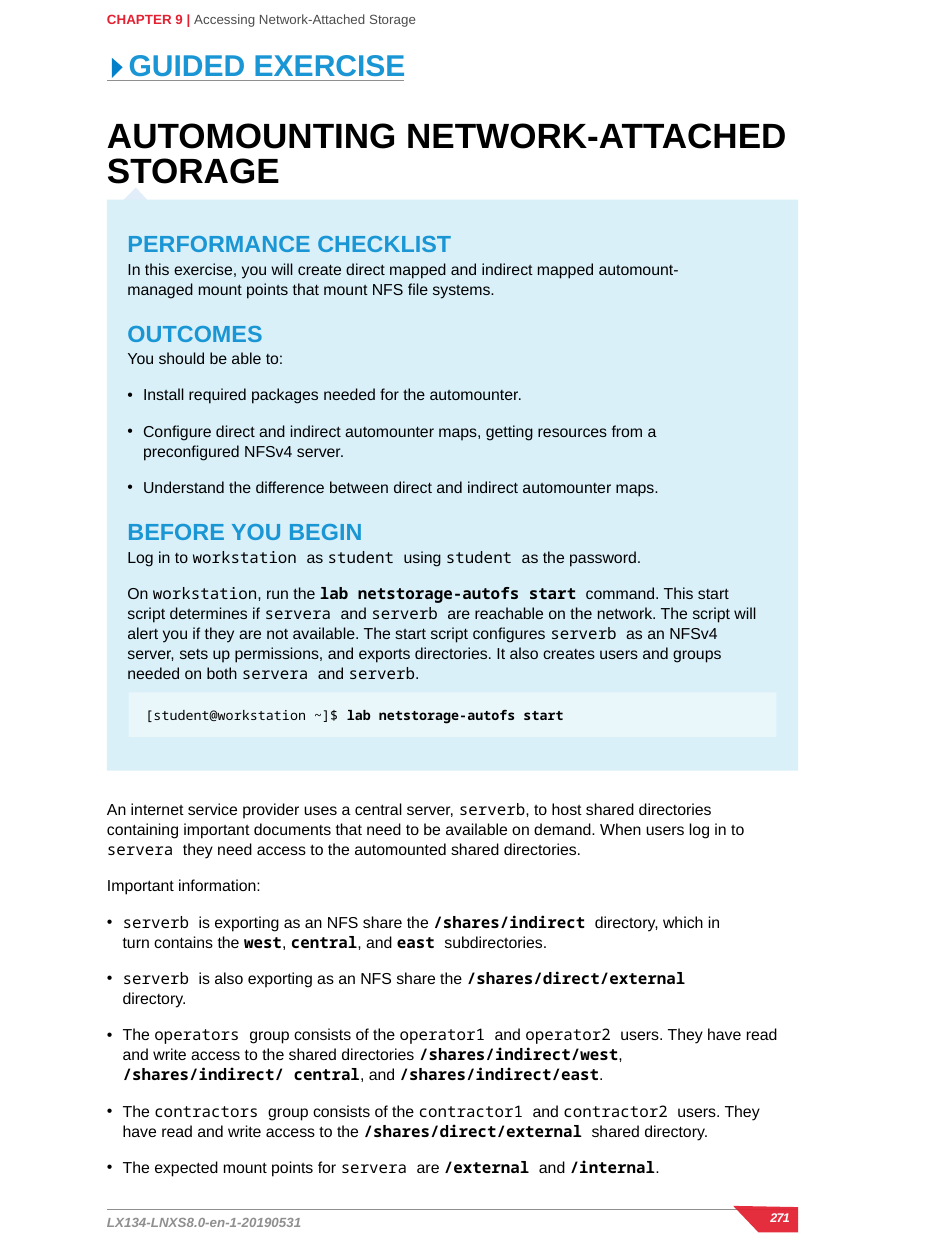
from dataclasses import dataclass

from lxml import etree
from pptx import Presentation, util as u
from pptx.dml.color import RGBColor
from pptx.enum import shapes, text
from pptx.oxml import ns


@dataclass(frozen=True)
class Theme:
    sans: str = "Arial"
    mono: str = "Noto Sans Mono"
    black: str = "000000"
    white: str = "FFFFFF"
    red: str = "E32132"
    blue: str = "1A96D5"
    marker: str = "0081CA"
    slate: str = "4B4C4C"
    gray: str = "8F8F8F"
    panel: str = "D9F0F9"
    notch: str = "E1EEF9"
    console: str = "E9F6FA"
    small: float = 8
    number: float = 7.5
    body: float = 9.5
    heading: float = 14
    banner: float = 18
    title: float = 21
    body_pitch: float = 12
    heading_pitch: float = 16
    para_gap: float = 9.8
    heading_gap: float = 13


THEME = Theme()
LEFT, RIGHT = 0.89, 6.64
BULLET_INDENT = 0.13

# Text markup: `code` is monospaced, `*code` is bold monospaced.
# Each entry: kind, text, right margin in inches.
EXERCISE = [
    ("heading", "PERFORMANCE CHECKLIST", 0),
    ("lead", "In this exercise, you will create direct mapped and indirect mapped "
     "automount-managed mount points that mount NFS file systems.", 0.69),
    ("heading", "OUTCOMES", 0),
    ("lead", "You should be able to:", 0),
    ("bullet", "Install required packages needed for the automounter.", 0),
    ("bullet", "Configure direct and indirect automounter maps, getting resources "
     "from a preconfigured NFSv4 server.", 0.69),
    ("bullet", "Understand the difference between direct and indirect automounter maps.", 0),
    ("heading", "BEFORE YOU BEGIN", 0),
    ("lead", "Log in to `workstation `as `student `using `student `as the password.", 0),
    ("body", "On `workstation`, run the `*lab netstorage-autofs start `command. This start "
     "script determines if `servera `and `serverb `are reachable on the network. The script "
     "will alert you if they are not available. The start script configures `serverb `as an "
     "NFSv4 server, sets up permissions, and exports directories. It also creates users and "
     "groups needed on both `servera `and `serverb`.", 0.31),
]
INFORMATION = [
    ("body", "An internet service provider uses a central server, `serverb`, to host shared "
     "directories containing important documents that need to be available on demand. When "
     "users log in to `servera `they need access to the automounted shared directories.", 0),
    ("body", "Important information:", 0),
    ("bullet", "`serverb `is exporting as an NFS share the `*/shares/indirect `directory, "
     "which in turn contains the `*west`, `*central`, and `*east `subdirectories.", 0.39),
    ("bullet", "`serverb `is also exporting as an NFS share the `*/shares/direct/external "
     "`directory.", 0.39),
    ("bullet", "The `operators `group consists of the `operator1 `and `operator2 `users. They "
     "have read and write access to the shared directories `*/shares/indirect/west`, "
     "`*/shares/indirect/ central`, and `*/shares/indirect/east`.", 0),
    ("bullet", "The `contractors `group consists of the `contractor1 `and `contractor2 `users. "
     "They have read and write access to the `*/shares/direct/external `shared directory.", 0),
    ("bullet", "The expected mount points for `servera `are `*/external `and `*/internal`.", 0),
]


def color(value):
    return RGBColor.from_string(value)


def style(font, size, tint, bold=False, italic=False, name=THEME.sans):
    font.name, font.size, font.bold, font.italic = name, u.Pt(size), bold, italic
    font.color.rgb = color(tint)


def set_frame(frame, left=0, top=0, anchor=text.MSO_ANCHOR.TOP):
    frame.word_wrap = True
    frame.vertical_anchor = anchor
    frame.margin_left, frame.margin_top = u.Inches(left), u.Inches(top)
    frame.margin_right = frame.margin_bottom = 0


def add_box(page, left, top, width, height):
    box = page.shapes.add_textbox(*map(u.Inches, (left, top, width, height)))
    set_frame(box.text_frame)
    return box.text_frame


def add_label(page, place, words, size, tint, **look):
    para = add_box(page, *place).paragraphs[0]
    para.text = words
    style(para.font, size, tint, bold=True, **look)
    return para


def paint(shape, fill):
    shape.shadow.inherit = False
    shape.fill.solid()
    shape.fill.fore_color.rgb = color(fill)
    shape.line.fill.background()


def add_panel(page, place, fill):
    panel = page.shapes.add_shape(shapes.MSO_SHAPE.RECTANGLE, *map(u.Inches, place))
    paint(panel, fill)
    return panel.text_frame


def add_outline(page, points, fill):
    corners = [(u.Inches(x), u.Inches(y)) for x, y in points]
    builder = page.shapes.build_freeform(*corners[0])
    builder.add_line_segments(corners[1:], close=True)
    outline = builder.convert_to_shape()
    paint(outline, fill)
    return outline


def add_rule(page, start, end, y, weight):
    rule = page.shapes.add_connector(
        shapes.MSO_CONNECTOR.STRAIGHT, *map(u.Inches, (start, y, end, y)))
    rule.line.color.rgb = color(THEME.gray)
    rule.line.width = u.Pt(weight)
    etree.SubElement(rule._element.spPr, ns.qn("a:effectLst"))


def set_margins(para, left, right, bulleted):
    props = para._p.get_or_add_pPr()
    props.set("marL", str(u.Inches(left + BULLET_INDENT * bulleted)))
    props.set("marR", str(u.Inches(right)))
    if bulleted:
        props.set("indent", str(-u.Inches(BULLET_INDENT)))
        font = etree.SubElement(props, ns.qn("a:buFont"))
        font.set("typeface", THEME.sans)
        etree.SubElement(props, ns.qn("a:buChar")).set("char", "•")


def add_spans(para, words):
    """Alternate plain and monospaced spans at each backtick."""
    for index, piece in enumerate(words.split("`")):
        if piece:
            span = para.add_run()
            span.text = piece.removeprefix("*")
            span.font.name = THEME.mono if index % 2 else THEME.sans
            span.font.bold = piece.startswith("*")


def fill_story(frame, story, left=0):
    gaps = {"heading": THEME.heading_gap, "lead": 0.5}
    for index, (kind, words, right) in enumerate(story):
        para = frame.add_paragraph() if index else frame.paragraphs[0]
        para.alignment = text.PP_ALIGN.LEFT
        set_margins(para, left, right, kind == "bullet")
        heading = kind == "heading"
        para.line_spacing = u.Pt(THEME.heading_pitch if heading else THEME.body_pitch)
        if index:
            para.space_before = u.Pt(gaps.get(kind, THEME.para_gap))
        if heading:
            para.text = words
            style(para.font, THEME.heading, THEME.blue, bold=True)
        else:
            add_spans(para, words)
            para.font.size = u.Pt(THEME.body)
            para.font.color.rgb = color(THEME.black)


def add_header(page):
    para = add_box(page, LEFT, 0.09, 4, 0.16).paragraphs[0]
    for words, tint, bold in (("CHAPTER 9 | ", THEME.red, True),
                              ("Accessing Network-Attached Storage", THEME.slate, False)):
        span = para.add_run()
        span.text = words
        style(span.font, THEME.small, tint, bold)

    add_outline(page, [(0.93, 0.48), (0.93, 0.65), (1.02, 0.56)], THEME.marker)
    add_label(page, (1.07, 0.39, 3, 0.3), "GUIDED EXERCISE", THEME.banner, THEME.blue)
    add_rule(page, LEFT, 3.36, 0.67, 1)
    title = add_label(page, (LEFT, 1, 6.31, 0.6),
                      "AUTOMOUNTING NETWORK-ATTACHED STORAGE", THEME.title, THEME.black)
    title.line_spacing = u.Pt(THEME.title)


def add_exercise(page):
    add_outline(page, [(1.13, 1.56), (0.99, 1.7), (1.26, 1.7)], THEME.notch)
    frame = add_panel(page, (LEFT, 1.66, RIGHT - LEFT, 4.75), THEME.panel)
    set_frame(frame, top=0.26)
    fill_story(frame, EXERCISE, left=0.17)

    console = add_panel(page, (1.07, 5.76, 5.39, 0.37), THEME.console)
    set_frame(console, left=0.14, anchor=text.MSO_ANCHOR.MIDDLE)
    para = console.paragraphs[0]
    para.alignment = text.PP_ALIGN.LEFT
    add_spans(para, "`[student@workstation ~]$ ``*lab netstorage-autofs start`")
    para.font.size = u.Pt(THEME.small)
    para.font.color.rgb = color(THEME.black)


def add_footer(page):
    add_rule(page, LEFT, RIGHT, 10.06, 0.5)
    add_label(page, (LEFT, 10.1, 2.5, 0.16), "LX134-LNXS8.0-en-1-20190531",
              THEME.small, THEME.gray, italic=True)
    tab = add_outline(page, [(6.1, 10.03), (6.31, 10.25), (RIGHT, 10.25), (RIGHT, 10.04)],
                      THEME.red)
    tint = tab.fill._xPr.find(".//" + ns.qn("a:srgbClr"))
    etree.SubElement(tint, ns.qn("a:alpha")).set("val", "94000")
    number = add_label(page, (6.41, 10.06, 0.22, 0.15), "271",
                       THEME.number, THEME.white, italic=True)
    number.runs[0]._r.get_or_add_rPr().set("spc", "-50")


def main():
    deck = Presentation()
    deck.slide_width, deck.slide_height = u.Inches(7.82), u.Inches(10.48)
    page = deck.slides.add_slide(deck.slide_layouts[6])
    add_header(page)
    add_exercise(page)
    fill_story(add_box(page, LEFT, 6.64, 5.61, 2.99), INFORMATION)
    add_footer(page)
    deck.save("out.pptx")


if __name__ == "__main__":
    main()
